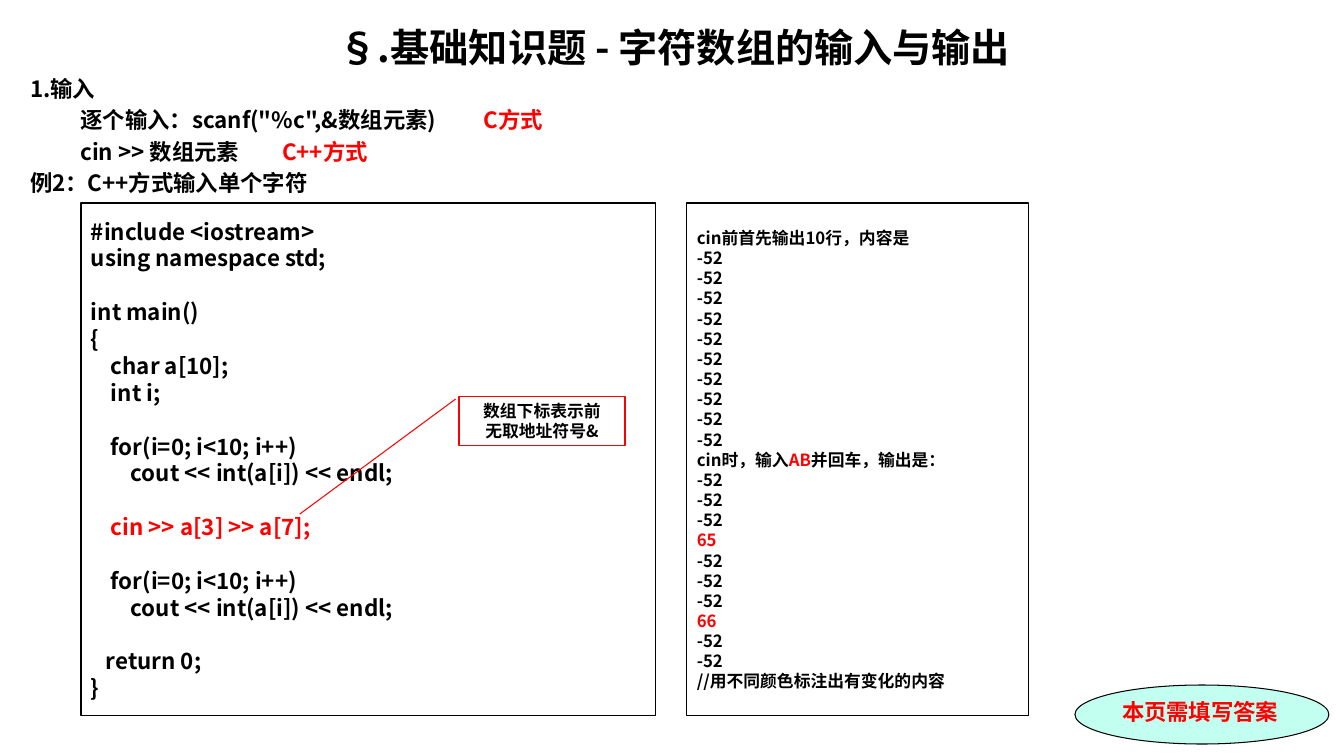
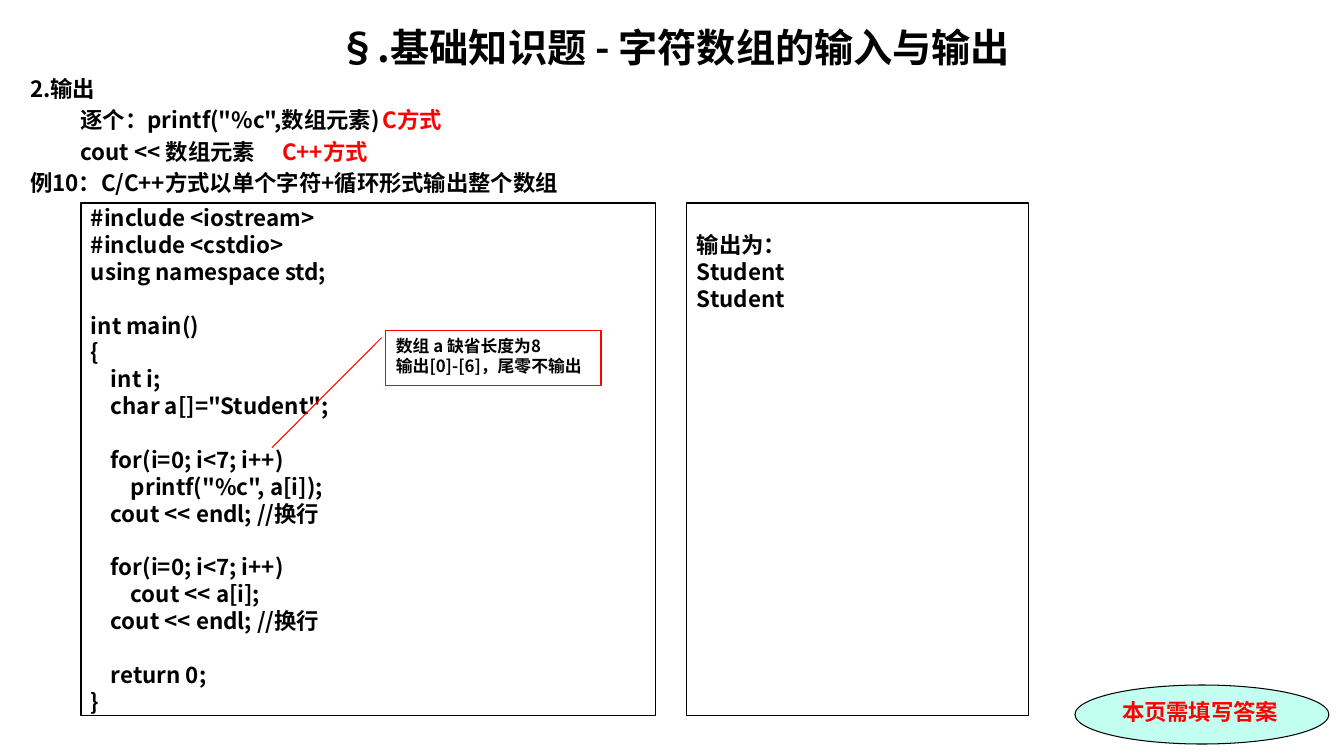
from lxml.etree import SubElement
from pptx import Presentation
from pptx.dml.color import RGBColor
from pptx.enum.shapes import MSO_SHAPE
from pptx.enum.text import MSO_ANCHOR, MSO_AUTO_SIZE, PP_ALIGN
from pptx.oxml.ns import qn
from pptx.util import Pt

PX = 914400 / 100.8
COLORS = {"ink": "000000", "accent": "FF0000", "mint": "C2FFF0"}
FONT = "Noto Sans CJK SC"
BADGE_FONT = "Times New Roman"
SPACE_WIDTH = 5  # px of indent for one leading space of code
TITLE = "§.基础知识题 - 字符数组的输入与输出"
BADGE = "本页需填写答案"

# Text between two | is set in the accent colour.
SLIDES = [
    {
        "intro": """1.输入
\t逐个输入：scanf("%c",&数组元素)\t|C方式|
\tcin >> 数组元素\t|C++方式|
例2：C++方式输入单个字符""",
        "tabs": {1: (16, 403), 2: (66, 282)},
        "code": """#include <iostream>
using namespace std;

int main()
{
    char a[10];
    int i;

    for(i=0; i<10; i++)
        cout << int(a[i]) << endl;

    |cin >> a[3] >> a[7];|

    for(i=0; i<10; i++)
        cout << int(a[i]) << endl;

   return 0;
}""",
        "output": "\n".join(
            ["cin前首先输出10行，内容是"] + ["-52"] * 10
            + ["cin时，输入|AB|并回车，输出是："]
            + ["-52"] * 3 + ["|65|"] + ["-52"] * 3 + ["|66|"] + ["-52"] * 2
            + ["//用不同颜色标注出有变化的内容"]),
        "output_size": 12,
        "output_anchor": MSO_ANCHOR.MIDDLE,
        "output_top": 0,
        "hint": "数组下标表示前\n无取地址符号&",
        "hint_box": (459, 396, 166, 49),
        "hint_align": PP_ALIGN.CENTER,
        "hint_line": (0.06, -0.02, 2.41, -0.96),
    },
    {
        "intro": """2.输出
\t逐个：printf("%c",数组元素)\t|C方式|
\tcout << 数组元素\t|C++方式|
例10：C/C++方式以单个字符+循环形式输出整个数组""",
        "tabs": {1: (16, 356), 2: (46, 282)},
        "code": """#include <iostream>
#include <cstdio>
using namespace std;

int main()
{
    int i;
    char a[]="Student";

    for(i=0; i<7; i++)
        printf("%c", a[i]);
    cout << endl; //换行

    for(i=0; i<7; i++)
        cout << a[i];
    cout << endl; //换行

    return 0;
}""",
        "output": "输出为：\nStudent\nStudent",
        "output_size": 16,
        "output_anchor": MSO_ANCHOR.TOP,
        "output_top": 28,
        "hint": "数组 a 缺省长度为8\n输出[0]-[6]，尾零不输出",
        "hint_box": (386, 331, 215, 55),
        "hint_align": PP_ALIGN.LEFT,
        "hint_line": (0.12, -0.02, 2.12, -0.53),
    },
]


def px(*lengths):
    return [round(length * PX) for length in lengths]


def write(shape, text, size, align=PP_ALIGN.LEFT, anchor=MSO_ANCHOR.TOP,
          color="ink", font=FONT, tabs=None):
    """Fill a shape line by line; leading spaces become indents, empty lines become spacing."""
    frame = shape.text_frame
    frame.word_wrap = True
    frame.auto_size = MSO_AUTO_SIZE.NONE
    frame.vertical_anchor = anchor
    paragraph, skipped = frame.paragraphs[0], 0
    for number, line in enumerate(text.split("\n")):
        if not line:
            skipped += 1
            continue
        if number:
            paragraph = frame.add_paragraph()
        paragraph.alignment = align
        paragraph.font.size = Pt(size)
        paragraph.font.bold = True
        paragraph.font.color.rgb = RGBColor.from_string(COLORS[color])
        paragraph.font.name = font
        properties = paragraph._p.get_or_add_pPr()
        SubElement(properties.find(qn("a:defRPr")), qn("a:ea"), typeface=FONT)
        if tabs and number in tabs:
            stops = SubElement(properties, qn("a:tabLst"))
            properties.insert(0, stops)
            for stop in px(*tabs[number]):
                SubElement(stops, qn("a:tab"), pos=str(stop), algn="l")
        if skipped:
            paragraph.space_before = Pt(1.2 * size * skipped)
            skipped = 0
        content = line.lstrip(" ")
        indent = len(line) - len(content)
        if indent:
            properties.set("marL", str(px(indent * SPACE_WIDTH)[0]))
        for part, words in enumerate(content.split("|")):
            if words:
                run = paragraph.add_run()
                run.text = words
                if part % 2:
                    run.font.color.rgb = RGBColor.from_string(COLORS["accent"])


prs = Presentation()
prs.slide_width, prs.slide_height = px(1344, 756)

for content in SLIDES:
    slide = prs.slides.add_slide(prs.slide_layouts[0])
    shapes = slide.shapes

    title, intro = slide.placeholders
    title.left, title.top, title.width, title.height = px(20, 18, 1309, 57)
    write(title, TITLE, 28, PP_ALIGN.CENTER, MSO_ANCHOR.MIDDLE)
    intro.left, intro.top, intro.width, intro.height = px(20, 70, 1309, 132)
    write(intro, content["intro"], 16, PP_ALIGN.JUSTIFY, tabs=content["tabs"])

    badge = shapes.add_shape(MSO_SHAPE.OVAL, *px(1075, 685, 254, 59))
    code = shapes.add_shape(MSO_SHAPE.RECTANGLE, *px(81, 203, 575, 513))
    output = shapes.add_shape(MSO_SHAPE.RECTANGLE, *px(687, 203, 342, 513))
    hint = shapes.add_shape(MSO_SHAPE.LINE_CALLOUT_1, *px(*content["hint_box"]))
    for index, value in enumerate(content["hint_line"]):
        hint.adjustments[index] = value

    for shape, outline in ((badge, "ink"), (code, "ink"), (output, "ink"), (hint, "accent")):
        shape.shadow.inherit = False
        shape.fill.background()
        shape.line.color.rgb = RGBColor.from_string(COLORS[outline])
        shape.line.width = Pt(0.75)
    badge.fill.solid()
    badge.fill.fore_color.rgb = RGBColor.from_string(COLORS["mint"])

    for panel in (code, output):
        panel.text_frame.margin_top = panel.text_frame.margin_bottom = 0
    output.text_frame.margin_top = px(content["output_top"])[0]

    write(badge, BADGE, 16, color="accent", font=BADGE_FONT)
    write(code, content["code"], 16, anchor=MSO_ANCHOR.MIDDLE)
    write(output, content["output"], content["output_size"], anchor=content["output_anchor"])
    write(hint, content["hint"], 12, content["hint_align"])

prs.save("out.pptx")
